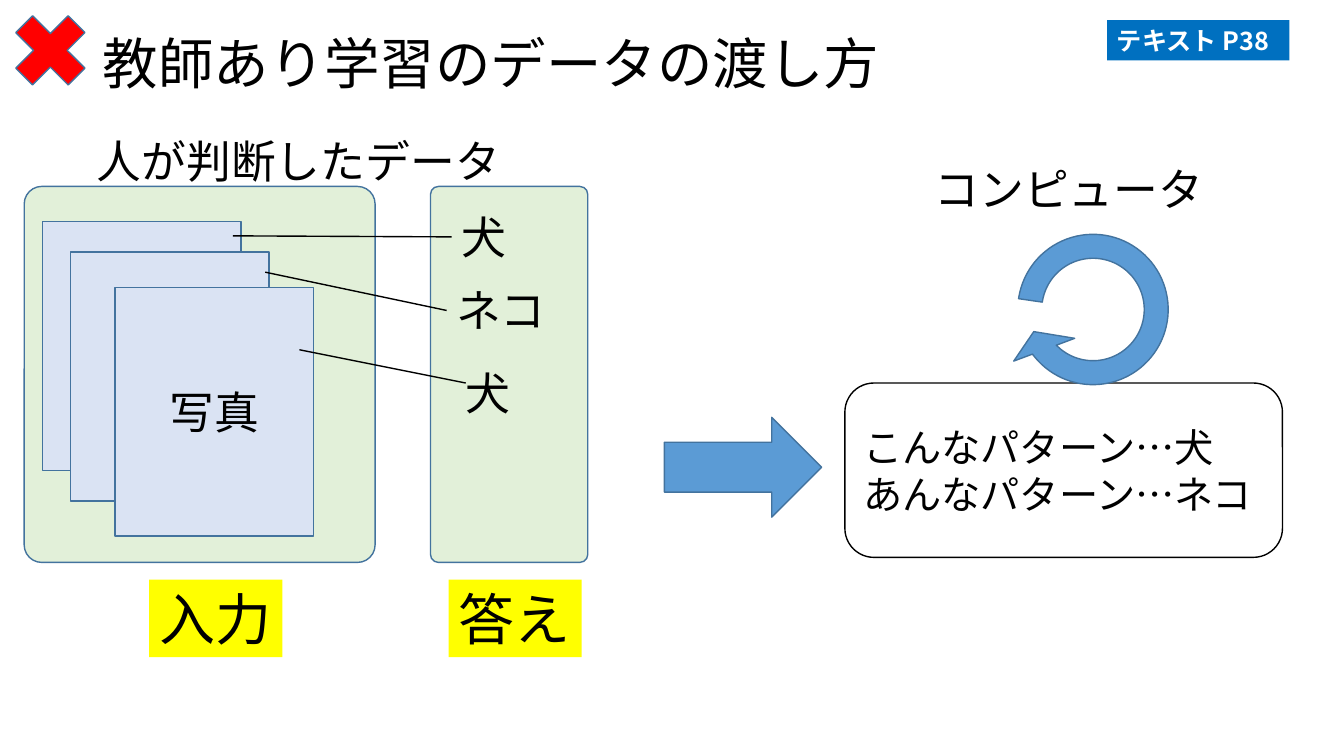
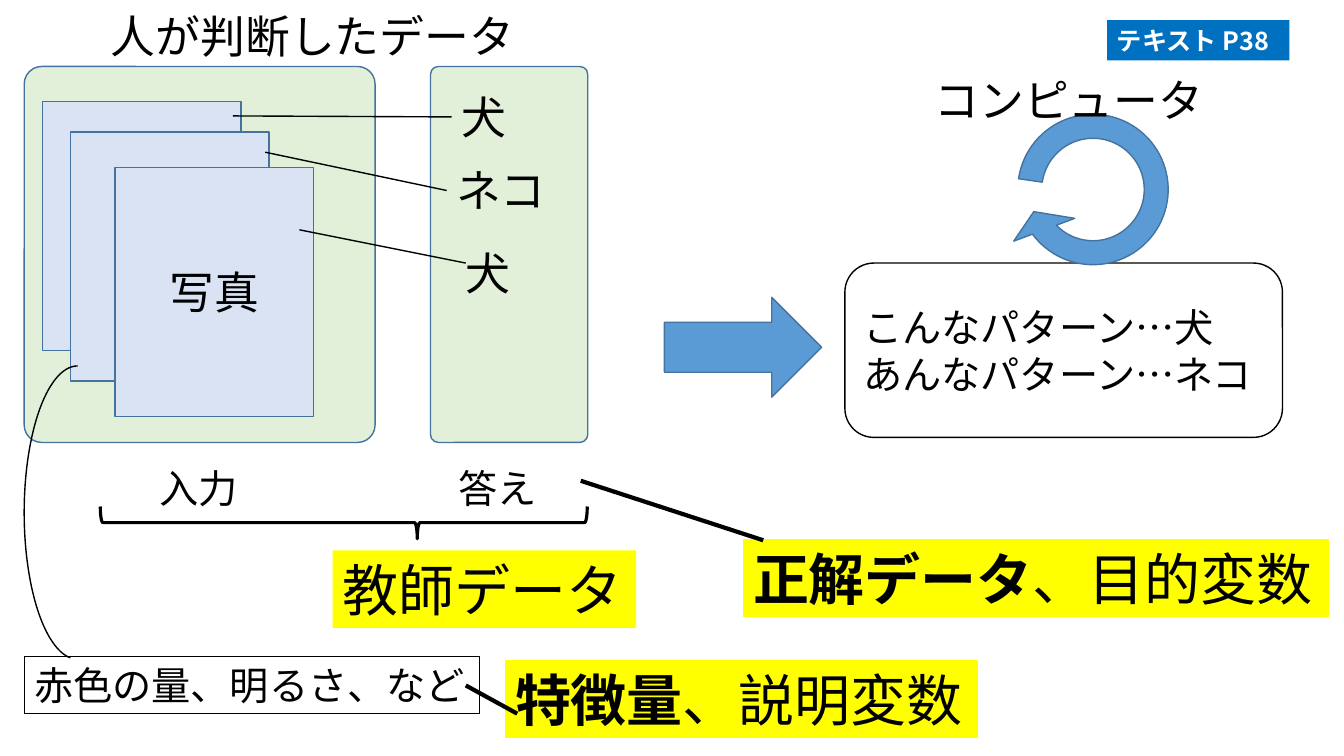
from dataclasses import dataclass
from lxml import etree
from pptx import Presentation
from pptx.dml.color import RGBColor
from pptx.enum import shapes, text
from pptx.oxml import ns
from pptx.util import Inches, Pt


@dataclass(frozen=True)
class Theme:
    font: str = "Noto Sans CJK JP"
    ink: str = "000000"
    white: str = "FFFFFF"
    edge: str = "43739E"
    green: str = "E2F0D9"
    pale: str = "DAE3F3"
    blue: str = "5B9BD5"
    tag: str = "0070C0"
    mark: str = "FFFF00"
    red: str = "FF0000"
    title: float = 39.6
    key: int = 40
    head: int = 32
    body: int = 28
    small: int = 18


look = Theme()
kinds = shapes.MSO_SHAPE
mid = text.MSO_ANCHOR.MIDDLE


def box(page, place, lines=(), size=look.head, kind=None, fill=None, edge=None,
        width=1, adj=(), turn=0, tint=look.ink, bold=False, wrap=False,
        align=text.PP_ALIGN.LEFT, anchor=text.MSO_ANCHOR.TOP):
    place = [Inches(n) for n in place]
    if kind is None:
        item = page.shapes.add_textbox(*place)
    else:
        item = page.shapes.add_shape(kind, *place)
        item.shadow.inherit = False
        for i, n in enumerate(adj):
            item.adjustments[i] = n
        item.rotation = turn
        if fill:
            item.fill.solid()
            item.fill.fore_color.rgb = RGBColor.from_string(fill)
        else:
            item.fill.background()
        if edge:
            item.line.color.rgb = RGBColor.from_string(edge)
            item.line.width = Pt(width)
        else:
            item.line.fill.background()
    if not lines:
        return item
    frame = item.text_frame
    frame.word_wrap = wrap
    if not wrap:
        frame.auto_size = text.MSO_AUTO_SIZE.SHAPE_TO_FIT_TEXT
    frame.vertical_anchor = anchor
    for i, line in enumerate(lines):
        para = frame.add_paragraph() if i else frame.paragraphs[0]
        para.alignment = align
        for part in line if isinstance(line, list) else [(line, bold)]:
            run = para.add_run()
            run.text, run.font.bold = part
            run.font.size = Pt(size)
            run.font.color.rgb = RGBColor.from_string(tint)
            run.font.name = look.font
            east = etree.SubElement(run._r.get_or_add_rPr(), ns.qn("a:ea"))
            east.set("typeface", look.font)
    return item


def wire(page, start, end, width=1):
    ends = [Inches(n) for n in (*start, *end)]
    item = page.shapes.add_connector(shapes.MSO_CONNECTOR.STRAIGHT, *ends)
    item.line.color.rgb = RGBColor.from_string(look.ink)
    item.line.width = Pt(width)
    etree.SubElement(item.element.spPr, ns.qn("a:effectLst"))


deck = Presentation()
deck.slide_width, deck.slide_height = Inches(13.33), Inches(7.5)
pages = []

for top, data, unit in ((1.85, (0.86, 1.28), 1.56), (0.66, (1, 0.04), 0.67)):
    page = deck.slides.add_slide(deck.slide_layouts[6])
    pages.append(page)
    for left, wide in ((4.27, 1.56), (0.24, 3.48)):
        box(page, (left, top, wide, 3.73), kind=kinds.ROUNDED_RECTANGLE,
            fill=look.green, edge=look.edge, adj=[0.05])
    for left, drop in ((0.42, 0.35), (0.7, 0.65), (1.14, 1)):
        box(page, (left, top + drop, 1.97, 2.47), ["写真"], kind=kinds.RECTANGLE,
            fill=look.pale, edge=look.edge, wrap=True,
            align=text.PP_ALIGN.CENTER, anchor=mid)
    for name, left, drop, wide, start, end in (
        ("犬", 4.48, 0.18, 0.65, (2.31, 0.49), (4.48, 0.5)),
        ("ネコ", 4.43, 0.91, 1.1, (2.63, 0.85), (4.43, 1.23)),
        ("犬", 4.52, 1.73, 0.65, (2.97, 1.62), (4.62, 1.95)),
    ):
        box(page, (left, top + drop, wide, 0.64), [name])
        wire(page, (start[0], top + start[1]), (end[0], top + end[1]))
    box(page, (6.59, top + 2.29, 1.56, 0.99), kind=kinds.RIGHT_ARROW,
        fill=look.blue, edge=look.edge)
    box(page, (8.38, top + 1.95, 4.34, 1.73),
        ["こんなパターン…犬", "あんなパターン…ネコ"], look.body,
        kind=kinds.ROUNDED_RECTANGLE, fill=look.white, edge=look.ink,
        wrap=True, anchor=mid)
    box(page, (9.89, top + 0.27, 1.9, 1.9), kind=kinds.CIRCULAR_ARROW,
        fill=look.blue, edge=look.edge, turn=159.5,
        adj=[0.125, 11.423, 204.577, 17.258, 0.17])
    box(page, (*data, 4.24, 0.64), ["人が判断したデータ"])
    box(page, (9.17, unit, 2.89, 0.64), ["コンピュータ"])
    box(page, (10.98, 0.2, 1.81, 0.4), ["テキスト P38"], look.small,
        kind=kinds.RECTANGLE, fill=look.tag, tint=look.white, bold=True)

first, second = pages
for name, left in (("入力", 1.48), ("答え", 4.45)):
    box(first, (left, 5.75, 1.32, 0.77), [name], look.key,
        kind=kinds.RECTANGLE, fill=look.mark)
    box(second, (left, 4.56, 0.99, 0.57), [name], look.body)

title = box(first, (0.92, 0.4, 11.5, 0.51), ["教師あり学習のデータの渡し方"],
            look.title, wrap=True, anchor=mid)
title.text_frame.paragraphs[0].line_spacing = 0.9
box(first, (0, 0, 1, 1), kind=kinds.MATH_MULTIPLY, fill=look.red, edge=look.edge)

box(second, (0.24, 6.51, 4.52, 0.57), ["赤色の量、明るさ、など"], look.body,
    kind=kinds.RECTANGLE, edge=look.ink, width=0.75)
box(second, (3.25, 2.77, 0.32, 4.83), kind=kinds.LEFT_BRACE, edge=look.ink,
    width=2.25, adj=[0.083, 0.651], turn=270)
curve = box(second, (0.24, 3.63, 1.06, 2.91), kind=kinds.ARC, edge=look.ink,
            adj=[162, 52.284])
curve.element.spPr.xfrm.set("flipH", "1")
for left, top, wide, line in (
    (3.3, 5.46, 3.01, [("教師データ", False)]),
    (5.01, 6.55, 4.69, [("特徴量", True), ("、説明変数", False)]),
    (7.37, 5.35, 5.81, [("正解データ", True), ("、目的変数", False)]),
):
    box(second, (left, top, wide, 0.77), [line], look.key,
        kind=kinds.RECTANGLE, fill=look.mark)
wire(second, (4.62, 6.8), (5.13, 7.08), 3)
wire(second, (5.76, 4.77), (7.57, 5.36), 3)

deck.save("out.pptx")
